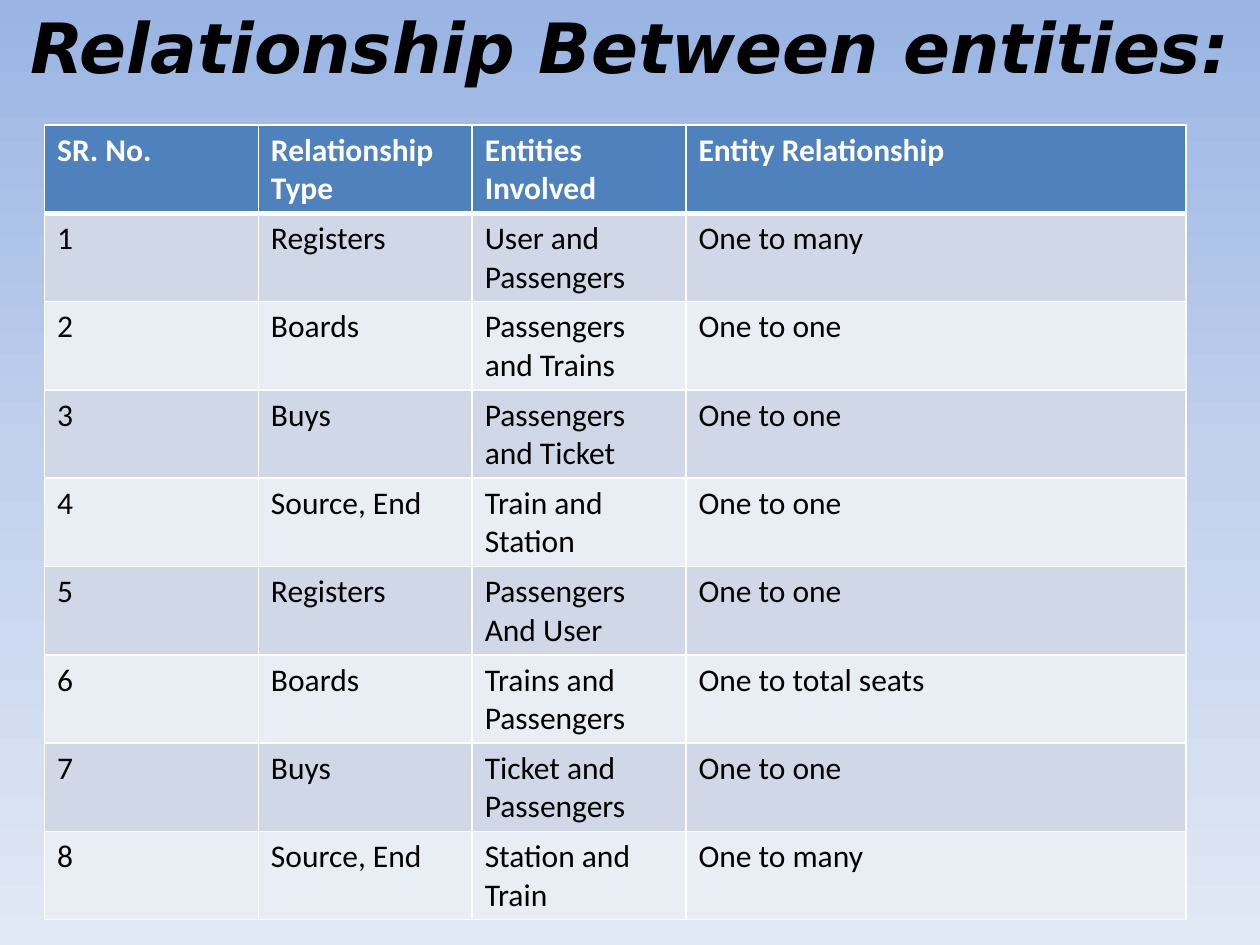
"""Build the slide that lists the relationships between entities."""
from copy import deepcopy

from lxml.etree import SubElement
from pptx import Presentation
from pptx.dml.color import RGBColor as Rgb
from pptx.enum.text import MSO_ANCHOR as Anchor, PP_ALIGN as Align
from pptx.oxml.ns import qn
from pptx.util import Cm, Pt

COLORS = {
    "sky_top": "9AB5E4", "sky_middle": "C2D1ED", "sky_bottom": "E1E8F5",
    "header": "4F81BD", "band_dark": "D0D8E8", "band_light": "E9EDF4",
    "black": "000000", "white": "FFFFFF",
}
COLUMN_WIDTHS = [4.31, 4.31, 4.31, 10.08]
ROWS = [
    ("SR. No.", "Relationship Type", "Entities Involved", "Entity Relationship"),
    ("1", "Registers", "User and Passengers", "One to many"),
    ("2", "Boards", "Passengers and Trains", "One to one"),
    ("3", "Buys", "Passengers and Ticket", "One to one"),
    ("4", "Source, End", "Train and Station", "One to one"),
    ("5", "Registers", "Passengers\nAnd User", "One to one"),
    ("6", "Boards", "Trains and Passengers", "One to total seats"),
    ("7", "Buys", "Ticket and Passengers", "One to one"),
    ("8", "Source, End", "Station and Train", "One to many"),
]


class SlideBuilder:
    title_font = "DejaVu Sans"
    body_font = "Calibri"

    def __init__(self, slide):
        self.slide = slide

    def color(self, name):
        return Rgb.from_string(COLORS[name])

    def format_text(self, text_frame, font_name, size, color, bold, italic=False):
        for paragraph in text_frame.paragraphs:
            for run in paragraph.runs:
                font = run.font
                font.name, font.size = font_name, Pt(size)
                font.bold, font.italic = bold, italic
                font.color.rgb = self.color(color)

    def background(self, names):
        fill = self.slide.background.fill
        fill.gradient()
        fill.gradient_angle = 270
        stop_list = next(self.slide.element.iter(qn("a:gsLst")))
        stop_list.insert(1, deepcopy(stop_list[0]))
        for index, (stop, name) in enumerate(zip(fill.gradient_stops, names)):
            stop.position = index / (len(names) - 1)
            stop.color.rgb = self.color(name)

    def title(self, text, left, top, width, height):
        shape = self.slide.shapes.add_textbox(Cm(left), Cm(top), Cm(width), Cm(height))
        text_frame = shape.text_frame
        text_frame.word_wrap = True
        text_frame.vertical_anchor = Anchor.TOP
        text_frame.margin_top = 0
        text_frame.text = text
        text_frame.paragraphs[0].alignment = Align.CENTER
        self.format_text(text_frame, self.title_font, 39.6, "black", True, True)

    def border(self, cell, side, width):
        properties = cell._tc.get_or_add_tcPr()
        line = SubElement(properties, qn(f"a:ln{side}"), w=str(Pt(width)))
        fill = SubElement(line, qn("a:solidFill"))
        SubElement(fill, qn("a:srgbClr"), val=COLORS["white"])

    def cell(self, cell, text, row):
        is_header = row == 0
        widths = {"L": 1, "R": 1, "T": 3 if row == 1 else 1, "B": 3 if is_header else 1}
        for side, width in widths.items():
            self.border(cell, side, width)
        band = "band_dark" if row % 2 else "band_light"
        cell.fill.solid()
        cell.fill.fore_color.rgb = self.color("header" if is_header else band)
        cell.text_frame.text = text
        text_color = "white" if is_header else "black"
        self.format_text(cell.text_frame, self.body_font, 18, text_color, is_header)

    def table(self, rows, column_widths, left, top, row_height):
        frame = self.slide.shapes.add_table(
            len(rows), len(column_widths), Cm(left), Cm(top),
            Cm(sum(column_widths)), Cm(row_height * len(rows)))
        table = frame.table
        for column, width in zip(table.columns, column_widths):
            column.width = Cm(width)
        for row_index, texts in enumerate(rows):
            table.rows[row_index].height = Cm(row_height)
            for column_index, text in enumerate(texts):
                self.cell(table.cell(row_index, column_index), text, row_index)


def main():
    presentation = Presentation()
    presentation.slide_width, presentation.slide_height = Cm(25.4), Cm(19.05)
    slide = presentation.slides.add_slide(presentation.slide_layouts[6])
    builder = SlideBuilder(slide)
    builder.background(["sky_top", "sky_middle", "sky_bottom"])
    builder.title("Relationship Between entities:", 0, 0.08, 25.4, 3.18)
    builder.table(ROWS, COLUMN_WIDTHS, 0.9, 2.52, 1.78)
    presentation.save("out.pptx")


if __name__ == "__main__":
    main()
